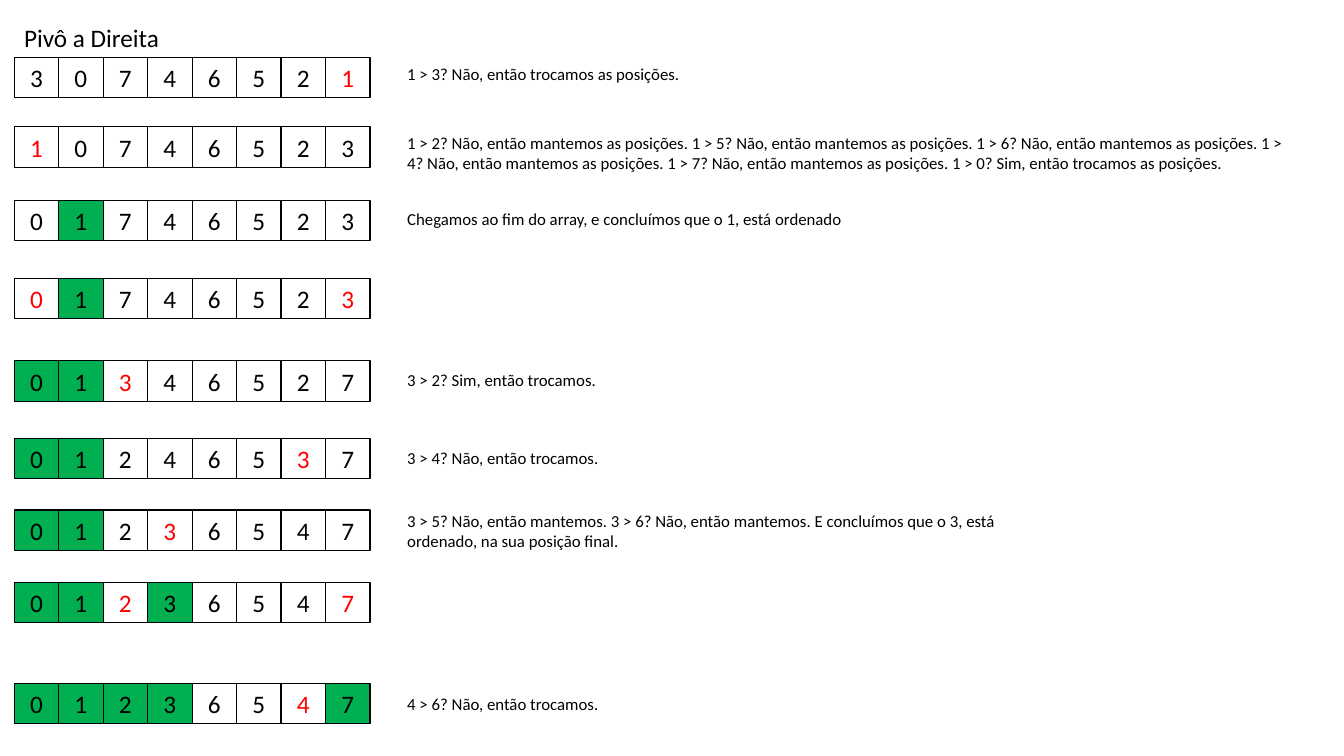
from pptx import Presentation
from pptx.dml.color import RGBColor
from pptx.enum.shapes import MSO_SHAPE
from pptx.enum.text import MSO_AUTO_SIZE, PP_ALIGN
from pptx.util import Inches, Pt

RECTANGLE = MSO_SHAPE.RECTANGLE
FIT_SHAPE = MSO_AUTO_SIZE.SHAPE_TO_FIT_TEXT
CENTER = PP_ALIGN.CENTER
LEFT = PP_ALIGN.LEFT

GRID_UNIT = 0.1
MARGIN = 1.4
ARRAY_WIDTH = 35.3
CELL_HEIGHT = 4
NOTE_LEFT = 39.4

STEPS = [
    (5.7, "30746521", "1", ""),
    (12.6, "10746523", "1", ""),
    (19.9, "01746523", "", "1"),
    (27.6, "01746523", "03", "1"),
    (35.8, "01346527", "3", "01"),
    (43.5, "01246537", "3", "01"),
    (50.6, "01236547", "3", "01"),
    (57.8, "01236547", "27", "013"),
    (67.8, "01236547", "4", "01237"),
]

NOTES = [
    (5.8, 61.2, 3, "1 > 3? Não, então trocamos as posições."),
    (12.7, 89.7, 5,
     "1 > 2? Não, então mantemos as posições. "
     "1 > 5? Não, então mantemos as posições. "
     "1 > 6? Não, então mantemos as posições. "
     "1 > 4? Não, então mantemos as posições. "
     "1 > 7? Não, então mantemos as posições. "
     "1 > 0? Sim, então trocamos as posições."),
    (20.2, 65.5, 3, "Chegamos ao fim do array, e concluímos que o 1, está ordenado"),
    (36.2, 65.5, 3, "3 > 2? Sim, então trocamos."),
    (43.9, 65.5, 3, "3 > 4? Não, então trocamos."),
    (50.2, 65.5, 5,
     "3 > 5? Não, então mantemos. 3 > 6? Não, então mantemos. "
     "E concluímos que o 3, está ordenado, na sua posição final."),
    (68.3, 65.5, 3, "4 > 6? Não, então trocamos."),
]


def color(hex_value):
    return RGBColor.from_string(hex_value)


def grid(*units):
    return [Inches(unit * GRID_UNIT) for unit in units]


class SortingSlide:
    font = "Calibri"
    ink = "000000"
    pivot_ink = "FF0000"
    sorted_fill = "00B050"
    digit_size = 18
    note_size = 12

    def __init__(self, presentation):
        self.slide = presentation.slides.add_slide(presentation.slide_layouts[6])

    def set_text(self, frame, text, size, ink, wrap=True, align=LEFT):
        frame.text = text
        frame.word_wrap = wrap
        frame.auto_size = FIT_SHAPE
        paragraph = frame.paragraphs[0]
        paragraph.alignment = align
        font = paragraph.runs[0].font
        font.name = self.font
        font.size = Pt(size)
        font.color.rgb = color(ink)

    def label(self, left, top, width, height, text, size, wrap=True):
        box = self.slide.shapes.add_textbox(*grid(left, top, width, height))
        self.set_text(box.text_frame, text, size, self.ink, wrap)

    def cell(self, group, left, top, width, digit, is_pivot, is_sorted):
        square = group.shapes.add_shape(RECTANGLE, *grid(left, top, width, CELL_HEIGHT))
        square.shadow.inherit = False
        square.line.color.rgb = color(self.ink)
        square.line.width = Pt(0.75)
        if is_sorted:
            square.fill.solid()
            square.fill.fore_color.rgb = color(self.sorted_fill)
        else:
            square.fill.background()
        ink = self.pivot_ink if is_pivot else self.ink
        self.set_text(square.text_frame, digit, self.digit_size, ink, align=CENTER)

    def array(self, top, digits, pivots, ordered):
        group = self.slide.shapes.add_group_shape()
        width = ARRAY_WIDTH / len(digits)
        for index, digit in enumerate(digits):
            self.cell(group, MARGIN + index * width, top, width, digit,
                      digit in pivots, digit in ordered)


def main():
    presentation = Presentation()
    presentation.slide_width = Inches(13.33)
    presentation.slide_height = Inches(7.5)
    sorting = SortingSlide(presentation)
    sorting.label(MARGIN, 1.7, 15.6, 4, "Pivô a Direita", sorting.digit_size, wrap=False)
    for step in STEPS:
        sorting.array(*step)
    for top, width, height, explanation in NOTES:
        sorting.label(NOTE_LEFT, top, width, height, explanation, sorting.note_size)
    presentation.save("out.pptx")


if __name__ == "__main__":
    main()
